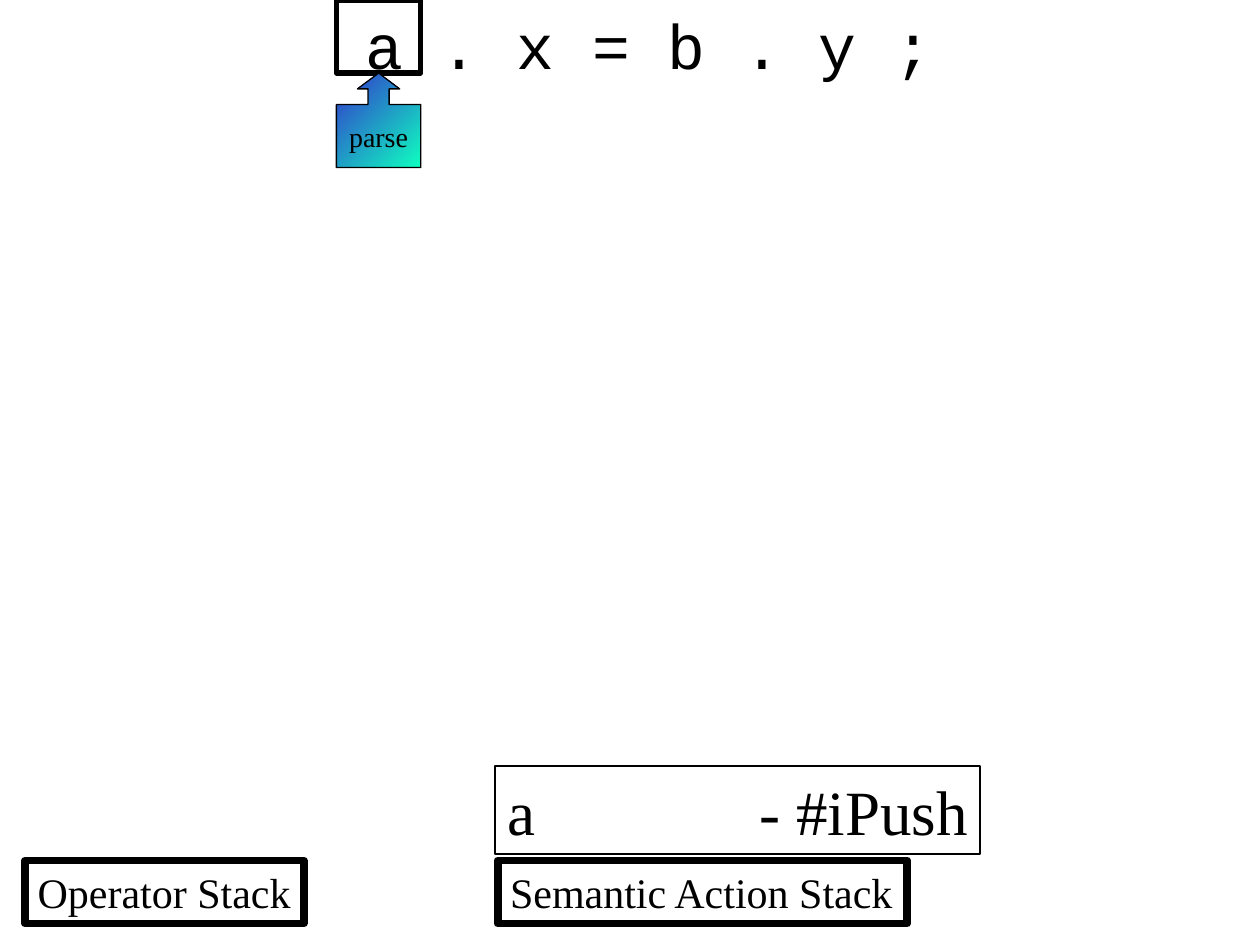
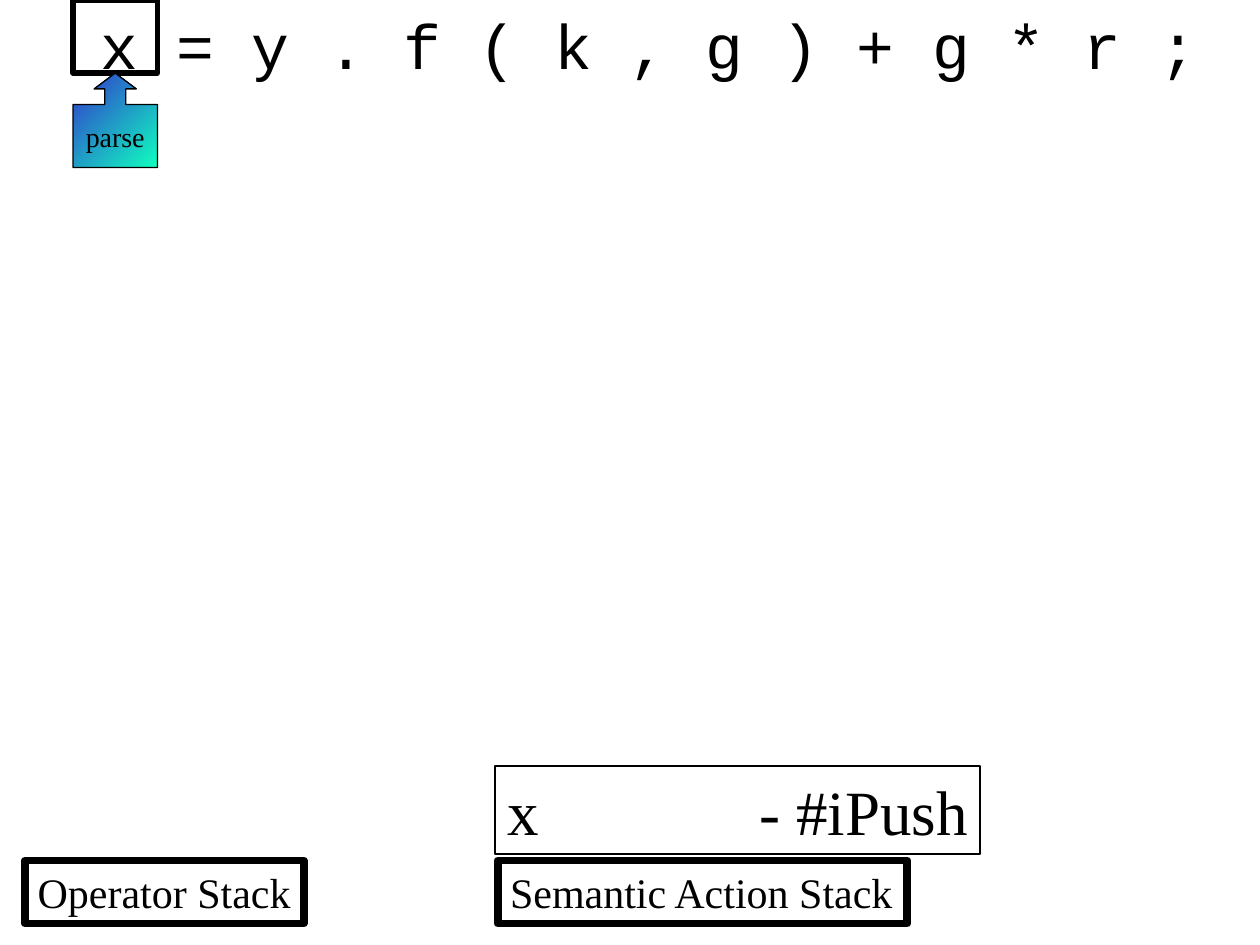
from lxml import etree
from pptx import Presentation
from pptx.dml.color import RGBColor
from pptx.enum.shapes import MSO_SHAPE
from pptx.enum.text import MSO_ANCHOR, MSO_AUTO_SIZE, PP_ALIGN
from pptx.oxml.ns import qn
from pptx.util import Inches, Pt

BLACK = RGBColor(0x00, 0x00, 0x00)
BLUE = RGBColor(0x33, 0x33, 0xCC)
AQUA = RGBColor(0x0F, 0xFF, 0xC0)

SERIF = "Times New Roman"
MONO = "Courier New"

RECTANGLE = MSO_SHAPE.RECTANGLE
CALLOUT = MSO_SHAPE.UP_ARROW_CALLOUT
LEFT = PP_ALIGN.LEFT
CENTER = PP_ALIGN.CENTER
TOP = MSO_ANCHOR.TOP
MIDDLE = MSO_ANCHOR.MIDDLE
FIT_SHAPE = MSO_AUTO_SIZE.SHAPE_TO_FIT_TEXT
FIXED = MSO_AUTO_SIZE.NONE

SLIDE_WIDTH = 10
TOKEN_WIDTH = 0.67
TOKEN_HEIGHT = 0.58
TAB_COUNT = 8


def add_tab_stops(paragraph):
    tab_list = etree.SubElement(paragraph._p.get_or_add_pPr(), qn("a:tabLst"))
    for inch in range(TAB_COUNT):
        etree.SubElement(tab_list, qn("a:tab"), pos=str(Inches(inch)), algn="l")


def write_text(shape, text, size, font=SERIF, align=LEFT, anchor=TOP,
               wrap=False, auto_size=FIT_SHAPE):
    frame = shape.text_frame
    frame.word_wrap = wrap
    frame.auto_size = auto_size
    frame.vertical_anchor = anchor
    paragraph = frame.paragraphs[0]
    paragraph.alignment = align
    add_tab_stops(paragraph)
    run = paragraph.add_run()
    run.text = text
    run.font.size = Pt(size)
    run.font.name = font
    run.font.color.rgb = BLACK


def add_outline(shapes, kind, left, top, width, height, line_width):
    shape = shapes.add_shape(kind, Inches(left), Inches(top),
                             Inches(width), Inches(height))
    shape.shadow.inherit = False
    shape.fill.background()
    shape.line.color.rgb = BLACK
    shape.line.width = Pt(line_width)
    return shape


def add_stack_label(slide, text, left, width):
    label = add_outline(slide.shapes, RECTANGLE, left, 6.83, width, 0.5, 4.5)
    write_text(label, text, 24)


def add_stack_entry(slide, name, action):
    entry = add_outline(slide.shapes, RECTANGLE, 3.93, 6.08, 3.85, 0.7, 1)
    write_text(entry, f"{name}\t\t- {action}", 36)


def add_statement(slide, statement):
    box = slide.shapes.add_textbox(0, 0, Inches(SLIDE_WIDTH), Inches(0.7))
    write_text(box, statement, 36, font=MONO, align=CENTER, wrap=True)


def add_parse_marker(slide, left):
    marker = slide.shapes.add_group_shape()
    add_outline(marker.shapes, RECTANGLE, left, 0, TOKEN_WIDTH, TOKEN_HEIGHT, 3)
    pointer = add_outline(marker.shapes, CALLOUT, left, TOKEN_HEIGHT,
                          TOKEN_WIDTH, 0.75, 0.75)
    for index, value in enumerate((0.25, 0.25, 0.188, 0.667)):
        pointer.adjustments[index] = value
    pointer.fill.gradient()
    pointer.fill.gradient_angle = 315
    for stop, color in zip(pointer.fill.gradient_stops, (BLUE, AQUA)):
        stop.color.rgb = color
    write_text(pointer, "parse", 16, align=CENTER, anchor=MIDDLE,
               auto_size=FIXED)


def add_parse_slide(presentation, statement, token, marker_left):
    slide = presentation.slides.add_slide(presentation.slide_layouts[6])
    add_stack_label(slide, "Operator Stack", 0.2, 2.21)
    add_stack_label(slide, "Semantic Action Stack", 3.95, 3.25)
    add_statement(slide, statement)
    add_parse_marker(slide, marker_left)
    add_stack_entry(slide, token, "#iPush")


def main():
    presentation = Presentation()
    presentation.slide_width = Inches(SLIDE_WIDTH)
    presentation.slide_height = Inches(7.5)
    add_parse_slide(presentation, " a . x = b . y ;", "a", 2.67)
    add_parse_slide(presentation, " x = y . f ( k , g ) + g * r ;", "x", 0.58)
    presentation.save("out.pptx")


if __name__ == "__main__":
    main()
